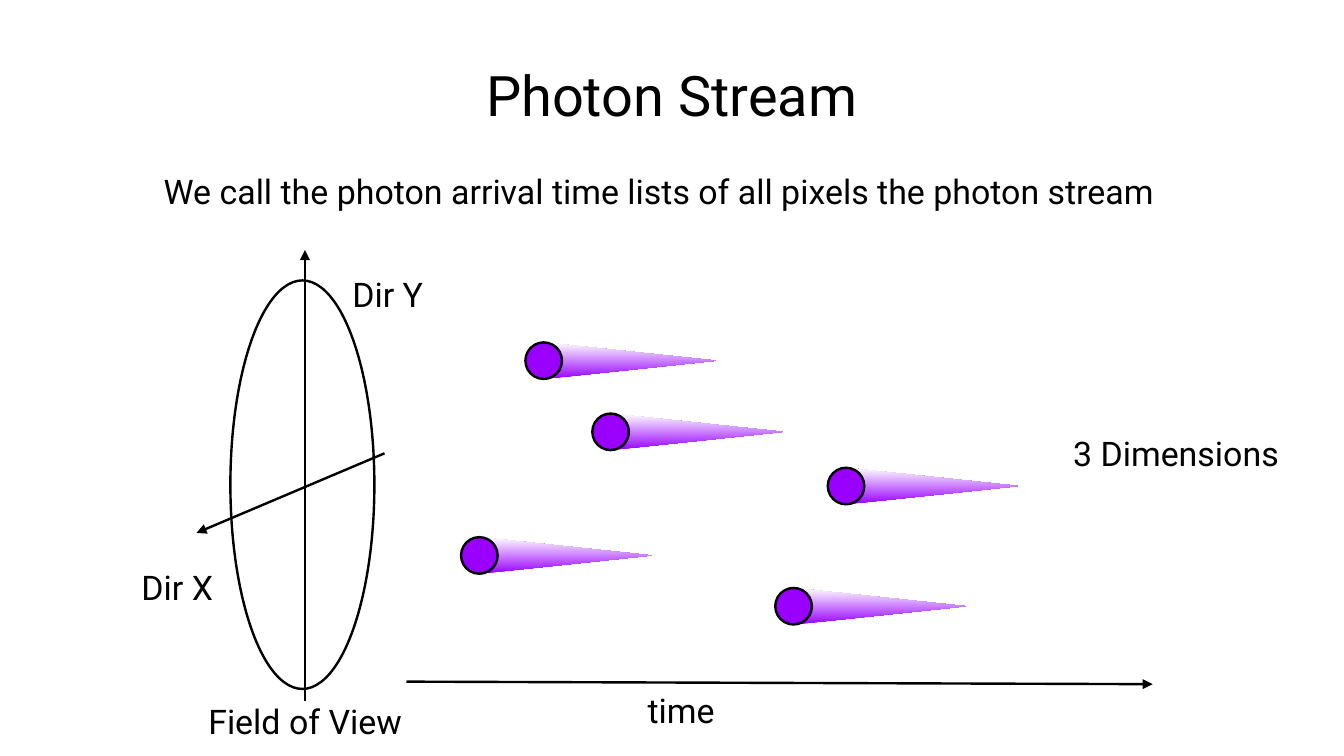
from collections import namedtuple
from dataclasses import dataclass

from lxml import etree
from pptx import Presentation
from pptx.dml.color import RGBColor as Color
from pptx.enum.shapes import MSO_CONNECTOR as Connector, MSO_SHAPE as Shape
from pptx.enum.text import MSO_ANCHOR as Anchor, PP_ALIGN as Align
from pptx.oxml.ns import qn
from pptx.util import Pt

Box = namedtuple("Box", "left top width height")


@dataclass(frozen=True)
class Theme:
    ink: Color = Color(0, 0, 0)
    paper: Color = Color(255, 255, 255)
    photon: Color = Color(0x99, 0x00, 0xFF)
    font: str = "Roboto"
    title_size: float = 33
    text_size: float = 20
    line_width: float = 1.42


THEME = Theme()
LABEL_HEIGHT = 37.4
PHOTON_SIZE = 21.6
TAIL_LENGTH = 102
PHOTON_CENTERS = [(68, 33), (107.5, 75), (30, 148), (246.5, 107), (215.5, 178)]


def add_label(page, text, box, size=THEME.text_size, align=Align.LEFT):
    frame = page.shapes.add_textbox(*map(Pt, box)).text_frame
    frame.margin_left = frame.margin_right = frame.margin_top = frame.margin_bottom = 0
    frame.word_wrap = True
    frame.vertical_anchor = Anchor.MIDDLE
    frame.text = text
    para = frame.paragraphs[0]
    para.alignment = align
    font = para.runs[0].font
    font.name, font.size, font.color.rgb = THEME.font, Pt(size), THEME.ink


def add_line(page, start, end, arrow=False):
    line = page.shapes.add_connector(Connector.STRAIGHT, *map(Pt, (*start, *end)))
    line.line.color.rgb = THEME.ink
    line.line.width = Pt(THEME.line_width)
    if arrow:
        etree.SubElement(line.line._get_or_add_ln(), qn("a:tailEnd"), type="triangle")
    etree.SubElement(line._element.spPr, qn("a:effectLst"))


def add_ellipse(page, box, color):
    ellipse = page.shapes.add_shape(Shape.OVAL, *map(Pt, box))
    ellipse.shadow.inherit = False
    ellipse.fill.solid()
    ellipse.fill.fore_color.rgb = color
    ellipse.line.color.rgb = THEME.ink
    ellipse.line.width = Pt(THEME.line_width)


def add_photon(page, x, y):
    """Draw a photon centred on x, y with its fading tail to the right."""
    radius = PHOTON_SIZE / 2
    outline = page.shapes.build_freeform(Pt(x), Pt(y - radius))
    outline.add_line_segments([(Pt(x + TAIL_LENGTH), Pt(y)), (Pt(x), Pt(y + radius))])
    tail = outline.convert_to_shape()
    tail.shadow.inherit = False
    tail.line.fill.background()
    tail.fill.gradient()
    tail.fill.gradient_angle = 90
    for stop, color in zip(tail.fill.gradient_stops, (THEME.photon, THEME.paper)):
        stop.color.rgb = color
    add_ellipse(page, Box(x - radius, y - radius, PHOTON_SIZE, PHOTON_SIZE), THEME.photon)


def add_heading(page, box):
    add_label(page, "Photon Stream", Box(box.left, box.top, box.width, 75),
              THEME.title_size, Align.CENTER)
    add_label(page, "We call the photon arrival time lists of all pixels the photon stream",
              Box(box.left + 57, box.top + 76.3, 636.5, LABEL_HEIGHT))


def add_field_of_view(page, box):
    """Draw the ellipse in the box, with its two direction axes and labels."""
    add_ellipse(page, box, THEME.paper)
    axis_x, center_y = box.left + 44, box.top + box.height / 2
    bottom = box.top + box.height
    add_line(page, (axis_x, bottom + 7), (axis_x, box.top - 18), arrow=True)
    add_line(page, (box.left + 91, center_y - 18.5),
             (box.left - 20, center_y + 28.5), arrow=True)
    add_label(page, "Dir X", Box(box.left - 52.5, center_y + 41.5, 48, LABEL_HEIGHT))
    add_label(page, "Dir Y", Box(box.left + 72, box.top - 10.8, 48, LABEL_HEIGHT))
    add_label(page, "Field of View", Box(box.left - 13, bottom, 124, LABEL_HEIGHT))


def add_photon_stream(page, box):
    """Place the photons in the box, above the time axis on its lower edge."""
    for x, y in PHOTON_CENTERS:
        add_photon(page, box.left + x, box.top + y)
    right, bottom = box.left + box.width, box.top + box.height
    add_line(page, (box.left - 13, bottom - 1.5), (right, bottom), arrow=True)
    add_label(page, "time", Box(box.left + 129.3, bottom - 3.6, 48, LABEL_HEIGHT))
    add_label(page, "3 Dimensions", Box(right - 47, box.top + 69, 143, LABEL_HEIGHT))


def main():
    deck = Presentation()
    deck.slide_width, deck.slide_height = Pt(793.44), Pt(446.4)
    page = deck.slides.add_slide(deck.slide_layouts[6])
    add_heading(page, Box(39.6, 18, 714, 115))
    add_field_of_view(page, Box(136, 165.6, 85, 241.2))
    add_photon_stream(page, Box(253, 180, 427.5, 224))
    deck.save("out.pptx")


if __name__ == "__main__":
    main()
